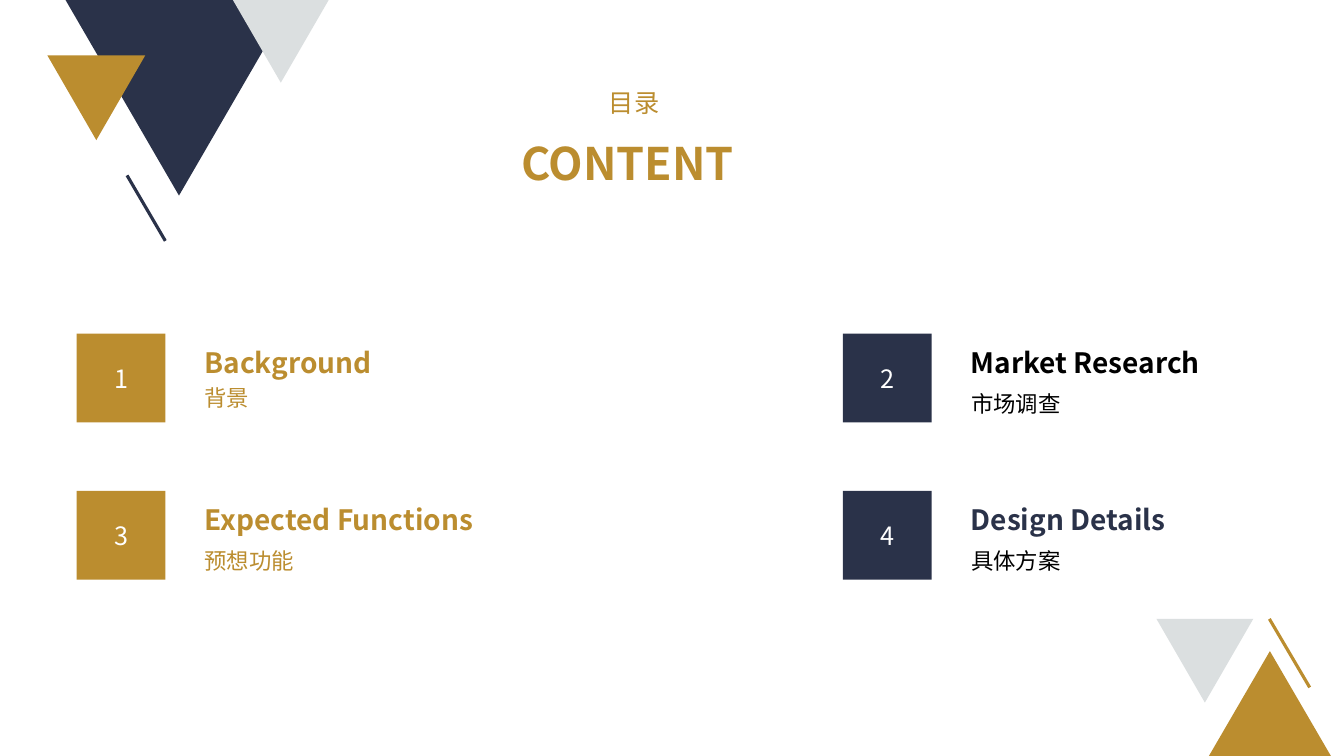
from pptx import Presentation
from pptx.dml.color import RGBColor
from pptx.enum.shapes import MSO_CONNECTOR, MSO_SHAPE
from pptx.enum.text import MSO_ANCHOR, MSO_AUTO_SIZE, PP_ALIGN
from pptx.oxml.ns import qn
from pptx.util import Inches, Pt
from lxml.etree import SubElement

COLORS = {"navy": "2A3249", "gold": "BB8D2F", "gray": "DBDFE0",
          "black": "000000", "white": "FFFFFF"}
NOTO = "Noto Sans CJK SC"
WIDE, HIGH = 13.33, 7.5

LINES = [
    (1.26, 1.74, 1.64, 2.39, "navy"),
    (12.59, 6.14, 12.99, 6.82, "gold"),
]
TRIANGLES = [
    (0.65, 0, 2.25, 1.94, 180, "navy"),
    (0.47, 0.55, 0.97, 0.84, 180, "gold"),
    (11.99, 6.46, 1.21, 1.04, 0, "gold"),
    (11.47, 6.14, 0.96, 0.83, 180, "gray"),
    (2.31, 0, 0.95, 0.82, 180, "gray"),
]
HEADS = [
    ("目录", 5.94, 0.82, 1.46, 0.4, 18, False),
    ("CONTENT", 5.07, 1.3, 3.2, 0.64, 32, True),
]
ITEMS = [
    ("Background", "背景", "gold", "gold", 0.45, NOTO),
    ("Market Research", "市场调查", "black", "black", 0.51, NOTO),
    ("Expected Functions", "预想功能", "gold", "gold", 0.51, NOTO),
    ("Design Details", "具体方案", "navy", "black", 0.51, "Arial"),
]
COLUMNS = [
    ("gold", 3.69, 1.5, True, PP_ALIGN.LEFT),
    ("navy", 2.54, 1.09, False, PP_ALIGN.CENTER),
]
LEFT, TOP = 0.76, 3.31
COL_STEP, ROW_STEP = 7.6, 1.56
SIDE, INDENT, DROP = 0.88, 1.17, 0.07


def shade(name):
    return RGBColor.from_string(COLORS[name])


def write(frame, text, size, color, bold=False, align=PP_ALIGN.LEFT, face=NOTO):
    frame.text = text
    para = frame.paragraphs[0]
    para.alignment = align
    font = para.runs[0].font
    font.size, font.bold, font.name = Pt(size), bold, face
    font.color.rgb = shade(color)
    props = para.runs[0]._r.get_or_add_rPr()
    SubElement(props, qn("a:ea")).set("typeface", NOTO)


def label(slide, box, text, size, color, wrap=True, **style):
    frame = slide.shapes.add_textbox(*map(Inches, box)).text_frame
    write(frame, text, size, color, **style)
    frame.word_wrap = wrap
    frame.auto_size = MSO_AUTO_SIZE.SHAPE_TO_FIT_TEXT


def block(slide, kind, box, color):
    shape = slide.shapes.add_shape(kind, *map(Inches, box))
    shape.shadow.inherit = False
    shape.fill.solid()
    shape.fill.fore_color.rgb = shade(color)
    shape.line.fill.background()
    return shape


def decorate(slide):
    for *ends, color in LINES:
        line = slide.shapes.add_connector(MSO_CONNECTOR.STRAIGHT, *map(Inches, ends))
        line.line.width = Pt(2.25)
        line.line.color.rgb = shade(color)
        SubElement(line._element.spPr, qn("a:effectLst"))
    for *box, turn, color in TRIANGLES:
        block(slide, MSO_SHAPE.ISOSCELES_TRIANGLE, box, color).rotation = turn


def list_items(slide):
    for index, (title, note, ink, tone, gap, face) in enumerate(ITEMS):
        row, col = divmod(index, len(COLUMNS))
        fill, title_wide, note_wide, wrap, align = COLUMNS[col]
        x, y = LEFT + col * COL_STEP, TOP + row * ROW_STEP
        tile = block(slide, MSO_SHAPE.RECTANGLE, (x, y, SIDE, SIDE), fill)
        write(tile.text_frame, str(index + 1), 18, "white", align=PP_ALIGN.CENTER)
        tile.text_frame.vertical_anchor = MSO_ANCHOR.MIDDLE
        label(slide, (x + INDENT, y + DROP, title_wide, 0.44), title, 20, ink, bold=True)
        label(slide, (x + INDENT, y + gap, note_wide, 0.37), note, 16, tone,
              wrap=wrap, align=align, face=face)


def main():
    deck = Presentation()
    deck.slide_width, deck.slide_height = Inches(WIDE), Inches(HIGH)
    slide = deck.slides.add_slide(deck.slide_layouts[6])
    decorate(slide)
    for text, *box, size, bold in HEADS:
        label(slide, box, text, size, "gold", bold=bold, align=PP_ALIGN.JUSTIFY)
    list_items(slide)
    deck.save("out.pptx")


if __name__ == "__main__":
    main()
